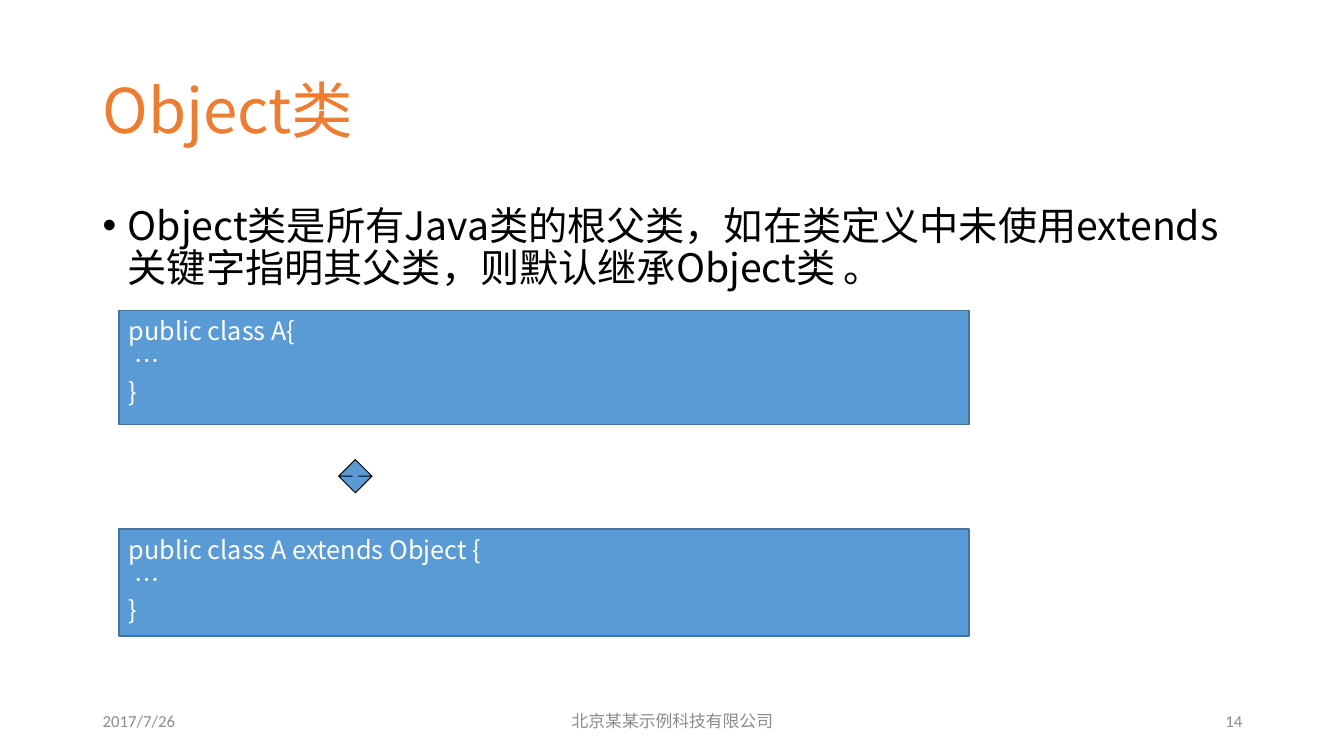
from pptx import Presentation
from pptx import util as u
from pptx.dml.color import RGBColor
from pptx.enum import shapes, text
from pptx.oxml.ns import qn
from lxml import etree

TITLE = "Object类"
POINT = "Object类是所有Java类的根父类，如在类定义中未使用extends关键字指明其父类，则默认继承Object类 。"
CODE = [  # class header, top, height
    ("public class A{", 3.08, 1.13),
    ("public class A extends Object {", 5.25, 1.06),
]
BODY = [" … ", "}"]
FOOT = [  # text, left, width, alignment, font role
    ("2017/7/26", 0.92, 3, "LEFT", "latin"),
    ("北京某某示例科技有限公司", 4.42, 4.5, "CENTER", "cjk"),
    ("14", 9.42, 3, "RIGHT", "latin"),
]
THEME = {
    "cjk": "Noto Sans CJK SC", "latin": "Calibri",
    "accent": "ED7D31", "ink": "000000", "muted": "8C8C8C",
    "paper": "FFFFFF", "fill": "5B9BD5", "edge": "43739E",
    "title": 44, "point": 28, "code": 18, "foot": 12,
}


def color(role):
    return RGBColor.from_string(THEME[role])


def box(left, top, width, height):
    return [u.Inches(n) for n in (left, top, width, height)]


def write(shape, lines, size, ink, font="cjk", align="LEFT", anchor="TOP",
          lead=None, before=0, bullet=None):
    frame = shape.text_frame
    frame.word_wrap = True
    frame.auto_size = text.MSO_AUTO_SIZE.NONE
    frame.vertical_anchor = getattr(text.MSO_ANCHOR, anchor)
    for i, line in enumerate(lines):
        para = frame.add_paragraph() if i else frame.paragraphs[0]
        para.alignment = getattr(text.PP_ALIGN, align)
        para.space_before = u.Pt(before)
        if lead:
            para.line_spacing = lead
        if bullet:
            props = para._p.get_or_add_pPr()
            props.set("marL", str(u.Inches(0.25)))
            props.set("indent", str(u.Inches(-0.25)))
            etree.SubElement(props, qn("a:buFont"), typeface="Arial")
            etree.SubElement(props, qn("a:buChar"), char=bullet)
        run = para.add_run()
        run.text = line
        run.font.size = u.Pt(THEME[size])
        run.font.color.rgb = color(ink)
        run.font.name = THEME[font]
        etree.SubElement(run._r.get_or_add_rPr(), qn("a:ea"),
                         typeface=THEME[font])


def draw(slide, kind, place, edge, weight):
    shape = slide.shapes.add_shape(kind, *box(*place))
    shape.shadow.inherit = False
    shape.fill.solid()
    shape.fill.fore_color.rgb = color("fill")
    shape.line.color.rgb = color(edge)
    shape.line.width = u.Pt(weight)
    return shape


def main():
    deck = Presentation()
    deck.slide_width, deck.slide_height = u.Inches(13.33), u.Inches(7.5)
    slide = deck.slides.add_slide(deck.slide_layouts.get_by_name("Title Only"))

    title = slide.shapes.title
    title.left, title.top, title.width, title.height = box(0.92, 0.4, 8.69, 1.45)
    write(title, [TITLE], "title", "accent", anchor="MIDDLE", lead=0.9)

    point = slide.shapes.add_textbox(*box(0.92, 2, 11.5, 4.76))
    write(point, [POINT], "point", "ink", lead=0.9, before=10, bullet="•")

    for words, left, width, align, font in FOOT:
        foot = slide.shapes.add_textbox(*box(left, 6.95, width, 0.4))
        write(foot, [words], "foot", "muted", font, align, "MIDDLE")

    kinds = shapes.MSO_SHAPE
    for head, top, height in CODE:
        block = draw(slide, kinds.RECTANGLE, (1.18, top, 8.43, height), "edge", 1)
        write(block, [head, *BODY], "code", "paper", align="JUSTIFY")

    arrow = draw(slide, kinds.UP_DOWN_ARROW, (3.36, 4.56, 0.33, 0.33), "ink", 0.75)
    arrow.adjustments[0], arrow.adjustments[1] = 0.5, 0.2

    deck.save("out.pptx")


if __name__ == "__main__":
    main()
